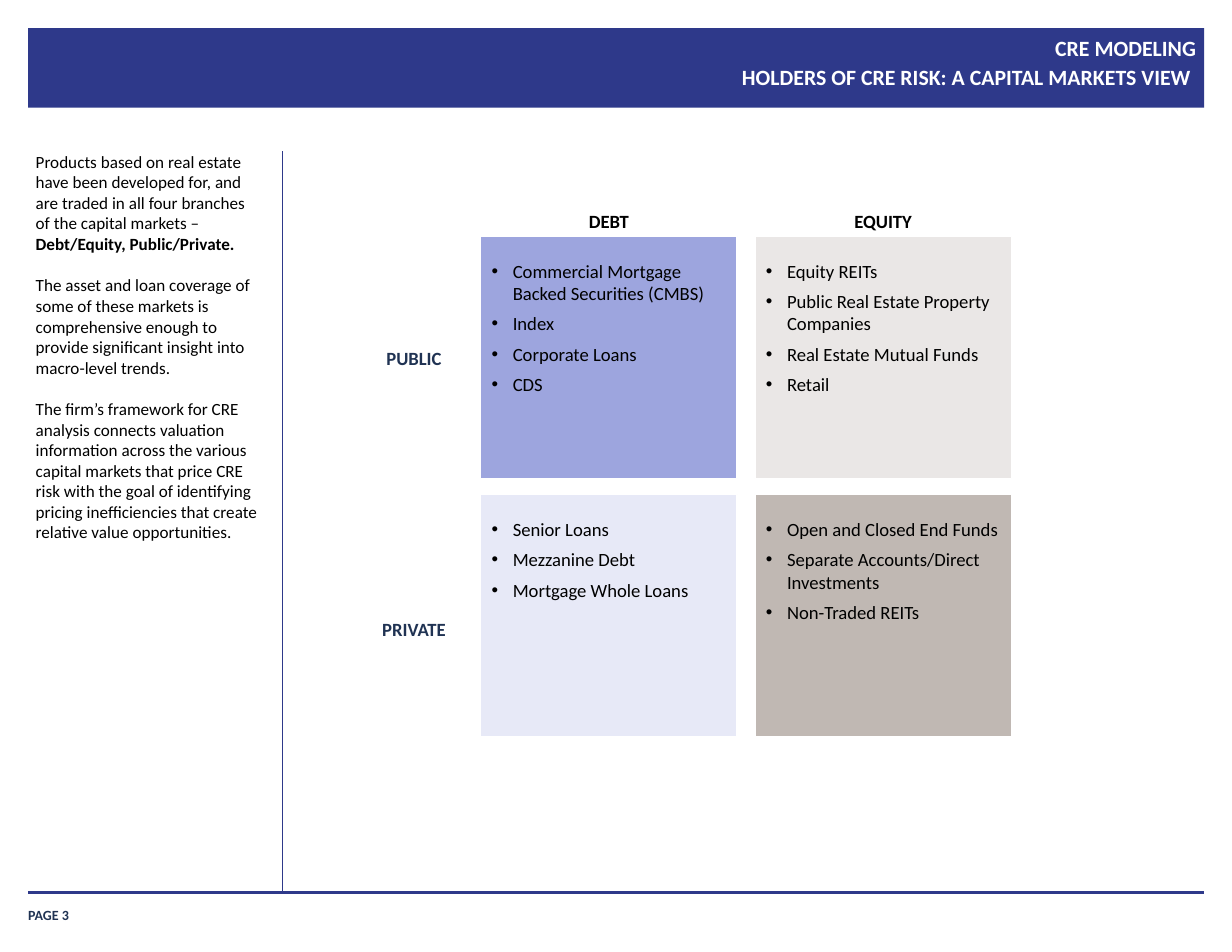
from lxml import etree
from pptx import Presentation
from pptx.dml.color import RGBColor
from pptx.enum.shapes import MSO_CONNECTOR, MSO_SHAPE
from pptx.enum.text import MSO_ANCHOR, PP_ALIGN
from pptx.oxml.ns import qn
from pptx.util import Cm, Pt

RECTANGLE, STRAIGHT = MSO_SHAPE.RECTANGLE, MSO_CONNECTOR.STRAIGHT
LEFT, CENTER, RIGHT = PP_ALIGN.LEFT, PP_ALIGN.CENTER, PP_ALIGN.RIGHT
TOP, BOTTOM = MSO_ANCHOR.TOP, MSO_ANCHOR.BOTTOM

# Content
TITLE = "CRE MODELING\vHOLDERS OF CRE RISK: A CAPITAL MARKETS VIEW "
PAGE_LABEL = "PAGE 3"
COMMENTARY = [  # (regular text, bold ending)
    ("Products based on real estate have been developed for, and are traded "
     "in all four branches of the capital markets – ",
     "Debt/Equity, Public/Private."),
    ("The asset and loan coverage of some of these markets is comprehensive "
     "enough to provide significant insight into macro-level trends.", ""),
    ("The firm’s framework for CRE analysis connects valuation information "
     "across the various capital markets that price CRE risk with the goal of "
     "identifying pricing inefficiencies that create relative value "
     "opportunities.", ""),
]
MARKETS = ["DEBT", "EQUITY"]
ACCESS = [("PUBLIC", 7.77), ("PRIVATE", 13.92)]  # label and its top in cm
HOLDINGS = [  # rows follow ACCESS, columns follow MARKETS
    [("debt_public", ["Commercial Mortgage Backed Securities (CMBS)", "Index",
                      "Corporate Loans", "CDS"]),
     ("equity_public", ["Equity REITs", "Public Real Estate Property Companies",
                        "Real Estate Mutual Funds", "Retail"])],
    [("debt_private", ["Senior Loans", "Mezzanine Debt",
                       "Mortgage Whole Loans"]),
     ("equity_private", ["Open and Closed End Funds",
                         "Separate Accounts/Direct Investments",
                         "Non-Traded REITs"])],
]
COLORS = {
    "brand": "2E398A", "label": "203353", "text": "000000", "white": "FFFFFF",
    "debt_public": "9DA5DE", "equity_public": "EAE7E6",
    "debt_private": "E7E9F7", "equity_private": "C0B8B3",
}
FONT = "Calibri"

# Grid of cards, in cm
GRID_LEFT, GRID_TOP = 10.9, 5.36
CARD_W, CARD_H = 5.82, 5.49
COLUMN_STEP, ROW_STEP = 6.22, 5.86
MARKET_W, ACCESS_W, ACCESS_CENTER = 3.38, 2.0, 9.39

prs = Presentation()
prs.slide_width, prs.slide_height = Cm(27.94), Cm(21.59)
slide = prs.slides.add_slide(prs.slide_layouts[6])


def color(name):
    return RGBColor.from_string(COLORS[name])


def add_block(left, top, width, height, fill, outline=None):
    block = slide.shapes.add_shape(RECTANGLE, Cm(left), Cm(top), Cm(width), Cm(height))
    block.shadow.inherit = False
    block.fill.solid()
    block.fill.fore_color.rgb = color(fill)
    if outline:
        block.line.color.rgb = color(outline)
        block.line.width = Pt(1)
    else:
        block.line.fill.background()


def add_rule(x1, y1, x2, y2, width):
    rule = slide.shapes.add_connector(STRAIGHT, Cm(x1), Cm(y1), Cm(x2), Cm(y2))
    rule.line.color.rgb = color("brand")
    rule.line.width = Pt(width)
    etree.SubElement(rule._element.spPr, qn("a:effectLst"))


def add_frame(left, top, width, height, insets=(0, 0, 0, 0), anchor=TOP):
    frame = slide.shapes.add_textbox(Cm(left), Cm(top), Cm(width), Cm(height)).text_frame
    frame.word_wrap = True
    frame.vertical_anchor = anchor
    (frame.margin_left, frame.margin_top,
     frame.margin_right, frame.margin_bottom) = [Cm(i) for i in insets]
    return frame


def next_paragraph(frame, index):
    return frame.paragraphs[0] if index == 0 else frame.add_paragraph()


def set_font(paragraph, size, tint="text", bold=None):
    font = paragraph.font
    font.name, font.size, font.bold = FONT, Pt(size), bold
    font.color.rgb = color(tint)


def add_label(frame, text, size, tint, align):
    paragraph = frame.paragraphs[0]
    paragraph.text = text
    paragraph.alignment = align
    set_font(paragraph, size, tint, True)
    return paragraph


def add_bullet(paragraph):
    props = paragraph._p.get_or_add_pPr()
    props.set("marL", str(Cm(0.48)))
    props.set("indent", str(-Cm(0.48)))
    etree.SubElement(props, qn("a:buFont")).set("typeface", "Arial")
    etree.SubElement(props, qn("a:buChar")).set("char", "•")


# Header band, footer and dividers
add_block(0.64, 0.64, 26.67, 1.8, "brand")
title = add_label(add_frame(8.05, 0.74, 19.08, 1.7), TITLE, 14, "white", RIGHT)
title.line_spacing = 1.1
add_label(add_frame(0.64, 20.35, 2.31, 0.58, anchor=BOTTOM),
          PAGE_LABEL, 9, "label", LEFT)
add_rule(0.64, 20.24, 27.31, 20.24, 2.25)
add_rule(6.4, 3.43, 6.4, 20.27, 0.5)

# Commentary column
commentary = add_frame(0.81, 3.43, 5.11, 13.51)
for i, (regular, bold) in enumerate(COMMENTARY):
    paragraph = next_paragraph(commentary, i)
    if i:
        paragraph.space_before = Pt(13.4)
    set_font(paragraph, 11)
    paragraph.add_run().text = regular
    if bold:
        ending = paragraph.add_run()
        ending.text = bold
        ending.font.bold = True

# Column headings
for column, market in enumerate(MARKETS):
    left = GRID_LEFT + column * COLUMN_STEP + (CARD_W - MARKET_W) / 2
    add_label(add_frame(left, 4.62, MARKET_W, 0.76, (0.25, 0.13, 0.25, 0.13)),
              market, 12, "text", CENTER)

# Row labels
for access, top in ACCESS:
    add_label(add_frame(ACCESS_CENTER - ACCESS_W / 2, top, ACCESS_W, 0.71, [0.1] * 4),
              access, 12, "label", CENTER)

# Cards with their holdings
for row, cards in enumerate(HOLDINGS):
    for column, (card, holdings) in enumerate(cards):
        left = GRID_LEFT + column * COLUMN_STEP
        top = GRID_TOP + row * ROW_STEP
        add_block(left, top, CARD_W, CARD_H, card, "white")
        frame = add_frame(left, top + 0.4, CARD_W, 4, (0.25, 0.13, 0.1, 0.13))
        for i, holding in enumerate(holdings):
            paragraph = next_paragraph(frame, i)
            paragraph.text = holding
            paragraph.space_after = Pt(5)
            add_bullet(paragraph)
            set_font(paragraph, 12)

prs.save("out.pptx")
